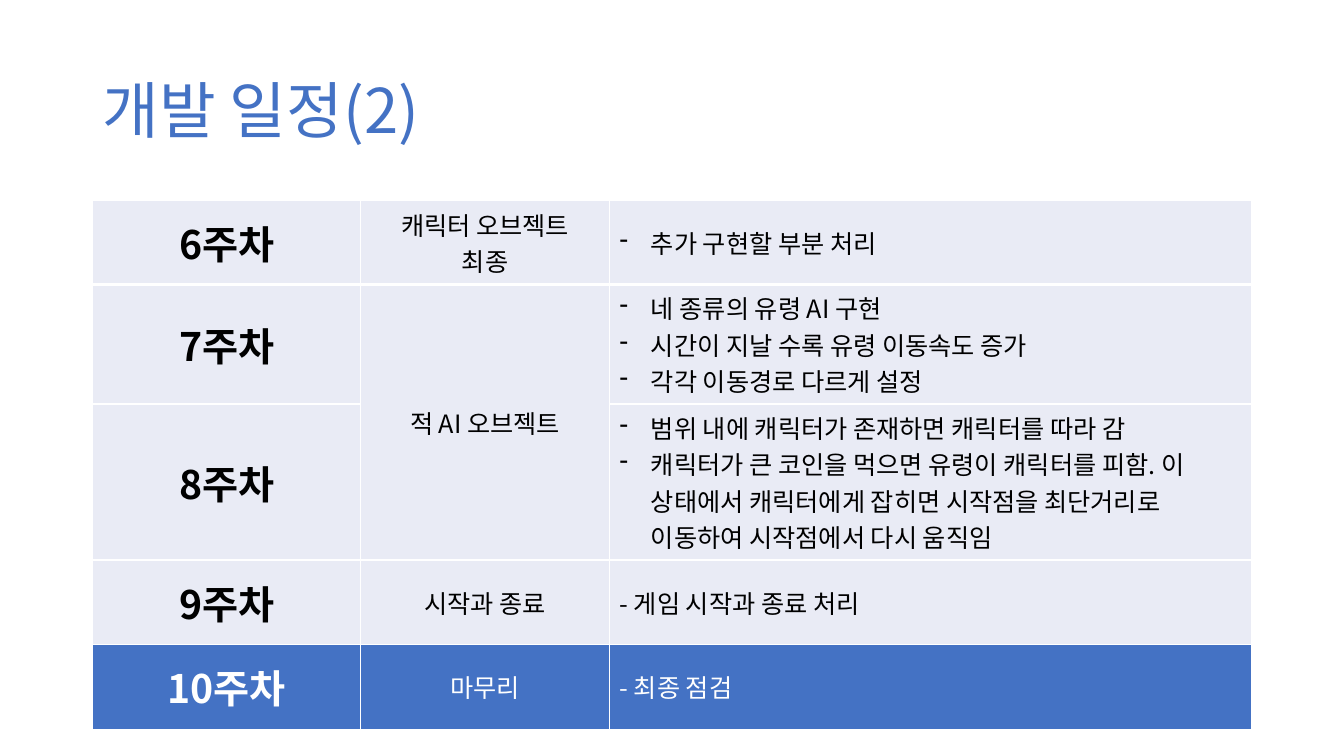
import pptx
import pptx.util
import pptx.dml.color
import pptx.enum.text
import pptx.oxml
import pptx.oxml.ns

Cm, Pt = pptx.util.Cm, pptx.util.Pt
RGB = pptx.dml.color.RGBColor
Align = pptx.enum.text.PP_ALIGN
Anchor = pptx.enum.text.MSO_ANCHOR

BLUE = RGB(0x44, 0x72, 0xC4)
PALE = RGB(0xE9, 0xEB, 0xF5)
BLACK = RGB(0, 0, 0)
WHITE = RGB(255, 255, 255)
FONT = "Noto Sans CJK KR"
COLS = (6.76, 6.27, 16.18)
ROW = 2.13

# week, topic lines, tasks, tasks are bulleted
WEEKS = [
    ("6주차", ["캐릭터 오브젝트", "최종"], ["추가 구현할 부분 처리"], True),
    ("7주차", ["적 AI 오브젝트"],
     ["네 종류의 유령 AI 구현", "시간이 지날 수록 유령 이동속도 증가",
      "각각 이동경로 다르게 설정"], True),
    ("8주차", [],
     ["범위 내에 캐릭터가 존재하면 캐릭터를 따라 감",
      "캐릭터가 큰 코인을 먹으면 유령이 캐릭터를 피함. 이 상태에서 "
      "캐릭터에게 잡히면 시작점을 최단거리로 이동하여 시작점에서 다시 움직임"], True),
    ("9주차", ["시작과 종료"], ["- 게임 시작과 종료 처리"], False),
    ("10주차", ["마무리"], ["- 최종 점검"], False),
]


def add_run(para, text, size, color, bold=False):
    """Add one run with its Latin and East Asian font."""
    run = para.add_run()
    run.text = text
    font = run.font
    font.name, font.size, font.bold = FONT, Pt(size), bold
    font.color.rgb = color
    east = pptx.oxml.parse_xml(
        f'<a:ea {pptx.oxml.ns.nsdecls("a")} typeface="{FONT}"/>')
    font._element.find(pptx.oxml.ns.qn("a:latin")).addnext(east)


def add_dash(para):
    """Give a paragraph a hanging dash bullet."""
    props = para._p.get_or_add_pPr()
    props.set("marL", str(Cm(0.79)))
    props.set("indent", str(-Cm(0.79)))
    props.append(pptx.oxml.parse_xml(
        f'<a:buChar {pptx.oxml.ns.nsdecls("a")} char="-"/>'))


def set_lines(cell, base):
    """Draw white cell borders, with the bottom one of the given width."""
    props = cell._tc.get_or_add_tcPr()
    for place, side in enumerate("LRTB"):
        width = Pt(base if side == "B" else 1)
        props.insert(place, pptx.oxml.parse_xml(
            f'<a:ln{side} {pptx.oxml.ns.nsdecls("a")} w="{width}"><a:solidFill>'
            f'<a:srgbClr val="{WHITE}"/></a:solidFill></a:ln{side}>'))


def fill_cell(cell, lines, size, color, bold=False, align=None, dash=False):
    """Write lines into a cell, one paragraph each."""
    frame = cell.text_frame
    for index, line in enumerate(lines):
        para = frame.add_paragraph() if index else frame.paragraphs[0]
        para.alignment = align
        if dash:
            add_dash(para)
        add_run(para, line, size, color, bold)


def add_title(slide, left, top, width, height):
    """Place and format the title."""
    title = slide.shapes.title
    title.left, title.top, title.width, title.height = map(
        Cm, (left, top, width, height))
    frame = title.text_frame
    frame.word_wrap = True
    frame.vertical_anchor = Anchor.MIDDLE
    para = frame.paragraphs[0]
    para.alignment, para.line_spacing = Align.LEFT, 0.9
    add_run(para, "개발 일정(2)", 44, BLUE)


def add_plan(slide, left, top):
    """Build the weekly schedule table."""
    table = slide.shapes.add_table(
        len(WEEKS), len(COLS), Cm(left), Cm(top),
        Cm(sum(COLS)), Cm(ROW * len(WEEKS))).table
    table.first_row = table.horz_banding = False
    for column, width in zip(table.columns, COLS):
        column.width = Cm(width)
    last = len(WEEKS) - 1
    for index, (week, topic, tasks, dash) in enumerate(WEEKS):
        table.rows[index].height = Cm(ROW)
        cells = table.rows[index].cells
        ink, back = (WHITE, BLUE) if index == last else (BLACK, PALE)
        for cell in cells:
            cell.vertical_anchor = Anchor.MIDDLE
            cell.fill.solid()
            cell.fill.fore_color.rgb = back
            set_lines(cell, 1 if index else 3)
        fill_cell(cells[0], [week], 28, ink, True, Align.CENTER)
        fill_cell(cells[1], topic, 18, ink, align=Align.CENTER)
        fill_cell(cells[2], tasks, 18, ink, dash=dash)
    table.cell(1, 1).merge(table.cell(2, 1))


deck = pptx.Presentation()
deck.slide_width, deck.slide_height = Cm(33.87), Cm(19.05)
page = deck.slides.add_slide(deck.slide_layouts[5])
add_title(page, 2.33, 1.01, 29.21, 3.68)
add_plan(page, 2.33, 5.04)
deck.save("out.pptx")
